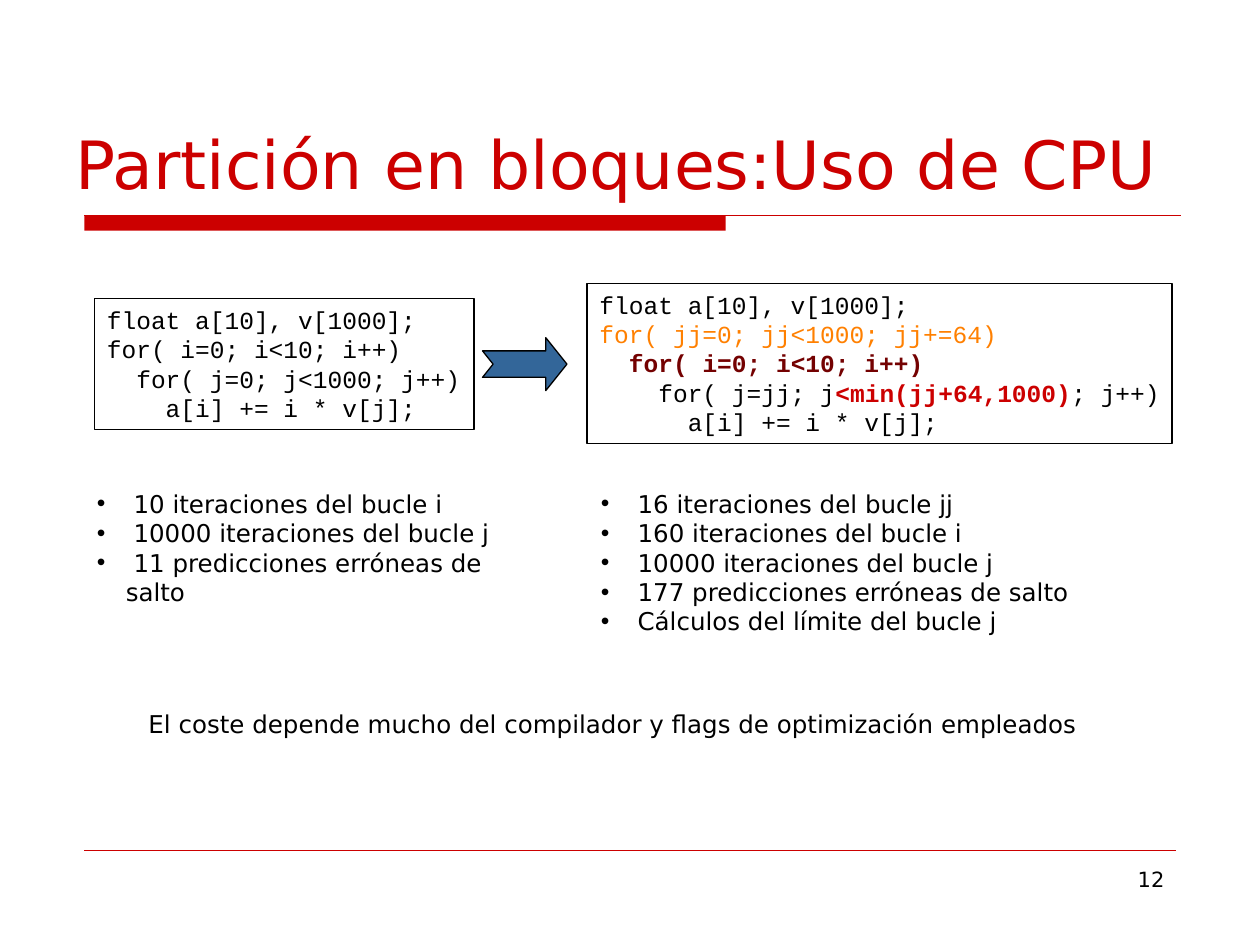
import pptx
import pptx.util
import pptx.dml.color
import pptx.enum.shapes
import pptx.enum.text
import pptx.oxml
import pptx.oxml.ns
from pptx.util import Inches

RGBColor = pptx.dml.color.RGBColor
RED = RGBColor(0xCC, 0x00, 0x00)
DARK_RED = RGBColor(0x74, 0x01, 0x01)
ORANGE = RGBColor(0xFF, 0x80, 0x00)
BLUE = RGBColor(0x33, 0x66, 0x99)
BLACK = RGBColor(0x00, 0x00, 0x00)
ALIGN = pptx.enum.text.PP_ALIGN
SHAPE = pptx.enum.shapes.MSO_SHAPE


def add_tag(parent, tag):
    parent.append(pptx.oxml.parse_xml(f"<a:{tag} {pptx.oxml.ns.nsdecls('a')}/>"))


def plain(text):
    return [(text, BLACK, False)]


class SlideBuilder:
    sans = "DejaVu Sans"
    mono = "Courier New"
    size = 14

    def __init__(self, prs):
        self.s = prs.slides.add_slide(prs.slide_layouts[5])

    def style(self, r, font=None, size=None, color=BLACK, bold=False):
        r.font.name = font or self.sans
        r.font.size = pptx.util.Pt(size or self.size)
        r.font.color.rgb = color
        r.font.bold = bold

    def outline(self, sp, color, width):
        sp.line.color.rgb = color
        sp.line.width = pptx.util.Pt(width)

    def title(self, x, y, w, h, text):
        sp = self.s.shapes.title
        sp.left, sp.top, sp.width, sp.height = map(Inches, (x, y, w, h))
        tf = sp.text_frame
        tf.text = text
        tf.auto_size = pptx.enum.text.MSO_AUTO_SIZE.NONE
        tf.vertical_anchor = pptx.enum.text.MSO_ANCHOR.BOTTOM
        tf.margin_left = tf.margin_right = Inches(0.1)
        tf.margin_top = tf.margin_bottom = Inches(0.05)
        p = tf.paragraphs[0]
        p.alignment = ALIGN.LEFT
        self.style(p.runs[0], size=38, color=RED)

    def shape(self, kind, x, y, w, h, fill):
        sp = self.s.shapes.add_shape(kind, Inches(x), Inches(y), Inches(w), Inches(h))
        sp.shadow.inherit = False
        sp.fill.solid()
        sp.fill.fore_color.rgb = fill
        sp.line.fill.background()
        return sp

    def arrow(self, x, y, w, h):
        sp = self.shape(SHAPE.NOTCHED_RIGHT_ARROW, x, y, w, h, BLUE)
        sp.adjustments[1] = 0.4
        self.outline(sp, BLACK, 0.75)

    def rule(self, x1, x2, y, width):
        sp = self.s.shapes.add_connector(
            pptx.enum.shapes.MSO_CONNECTOR.STRAIGHT,
            Inches(x1), Inches(y), Inches(x2), Inches(y))
        self.outline(sp, RED, width)
        add_tag(sp._element.spPr, "effectLst")

    def text(self, x, y, w, h, lines, size=None, align=ALIGN.LEFT):
        sp = self.s.shapes.add_textbox(Inches(x), Inches(y), Inches(w), Inches(h))
        tf = sp.text_frame
        tf.word_wrap = True
        tf.text = "\n".join(lines)
        for p in tf.paragraphs:
            p.alignment = align
            self.style(p.runs[0], size=size)
        return tf

    def bullets(self, x, y, w, h, lines):
        for p in self.text(x, y, w, h, lines).paragraphs:
            pPr = p._p.get_or_add_pPr()
            pPr.set("marL", str(Inches(0.23)))
            pPr.set("indent", str(-Inches(0.23)))
            add_tag(pPr, 'buFont typeface="Arial"')
            add_tag(pPr, 'buChar char="•"')

    def code(self, x, y, w, h, lines):
        sp = self.s.shapes.add_textbox(Inches(x), Inches(y), Inches(w), Inches(h))
        self.outline(sp, BLACK, 1)
        tf = sp.text_frame
        tf.word_wrap = True
        tf.margin_right = 0
        for i, parts in enumerate(lines):
            p = tf.add_paragraph() if i else tf.paragraphs[0]
            for text, color, bold in parts:
                r = p.add_run()
                r.text = text
                self.style(r, self.mono, color=color, bold=bold)


def main():
    prs = pptx.Presentation()
    prs.slide_width, prs.slide_height = Inches(10), Inches(7.5)
    b = SlideBuilder(prs)

    b.shape(SHAPE.RECTANGLE, 0.67, 1.71, 5.09, 0.12, RED)
    b.rule(0.67, 9.37, 1.71, 1)
    b.rule(0.67, 9.33, 6.75, 0.25)
    b.text(7.17, 6.83, 2.17, 0.52, ["12"], size=12, align=ALIGN.RIGHT)
    b.title(0.5, 0.33, 8.95, 1.33, "Partición en bloques:Uso de CPU")

    b.code(0.75, 2.37, 3.01, 1.04, [
        plain("float a[10], v[1000];"),
        plain("for( i=0; i<10; i++)"),
        plain("  for( j=0; j<1000; j++)"),
        plain("    a[i] += i * v[j];"),
    ])
    b.code(4.66, 2.25, 4.64, 1.27, [
        plain("float a[10], v[1000];"),
        [("for( jj=0; jj<1000; jj+=64)", ORANGE, False)],
        plain("  ") + [("for( i=0; i<10; i++)", DARK_RED, True)],
        plain("    for( j=jj; j") + [("<min(jj+64,1000)", RED, True)] + plain("; j++)"),
        plain("      a[i] += i * v[j];"),
    ])
    b.arrow(3.83, 2.68, 0.67, 0.42)

    b.bullets(0.67, 3.83, 3.67, 0.8, [
        " 10 iteraciones del bucle i",
        " 10000 iteraciones del bucle j",
        " 11 predicciones erróneas de salto",
    ])
    b.bullets(4.67, 3.83, 3.92, 1.27, [
        " 16 iteraciones del bucle jj",
        " 160 iteraciones del bucle i",
        " 10000 iteraciones del bucle j",
        " 177 predicciones erróneas de salto",
        " Cálculos del límite del bucle j",
    ])
    b.text(1.08, 5.58, 7.58, 0.34, [
        "El coste depende mucho del compilador y flags de optimización empleados"])

    prs.save("out.pptx")


if __name__ == "__main__":
    main()
